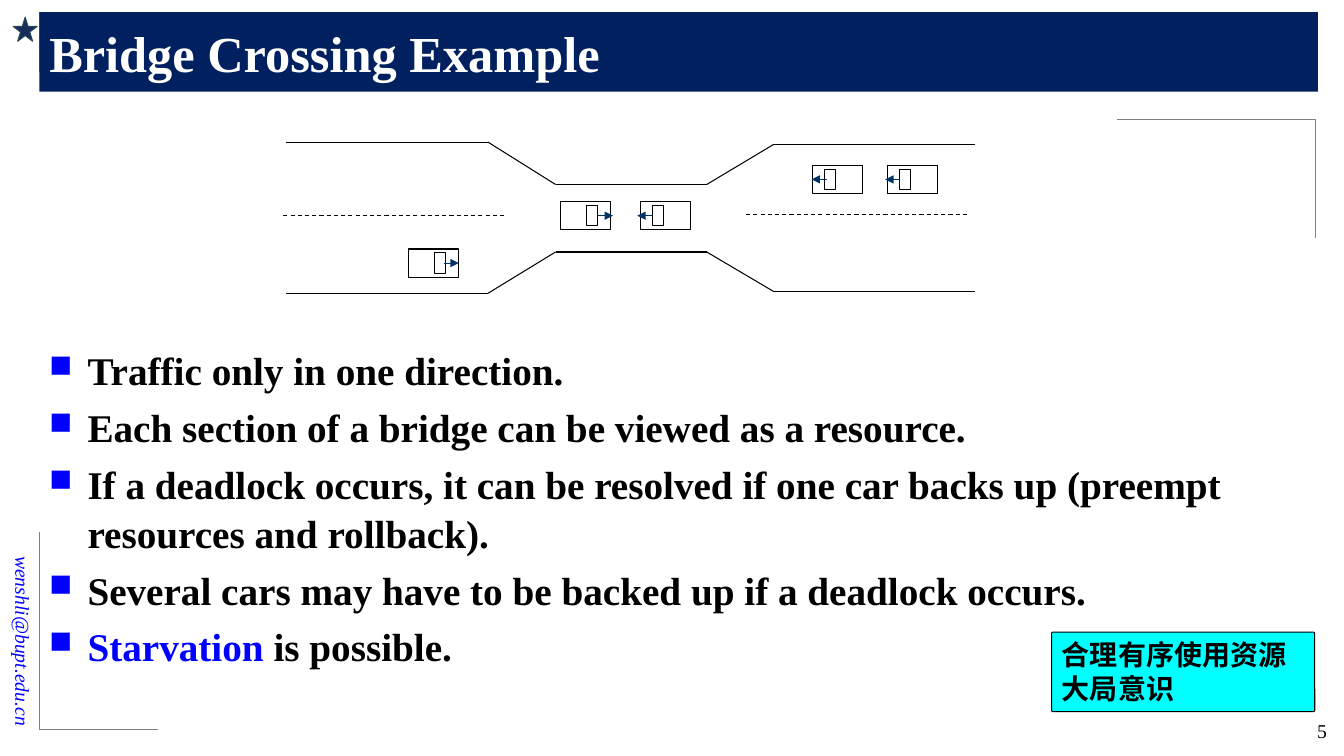
import pptx
import pptx.util
import pptx.dml.color
import pptx.enum.dml
import pptx.enum.shapes
import pptx.enum.text
import pptx.oxml.ns
import lxml.etree

WIDE, HIGH = pptx.util.Inches(13.33), pptx.util.Inches(7.5)
COLS, ROWS = 133.3, 75
SERIF, SANS = "Times New Roman", "Noto Sans CJK SC"
HUES = {
    "black": "000000", "white": "FFFFFF", "blue": "0000FF", "navy": "002060",
    "gray": "808080", "star": "172E5C", "edge": "2A4854", "arrow": "003366",
    "cyan": "00FFFF",
}
KINDS = pptx.enum.shapes.MSO_SHAPE
ALIGN = pptx.enum.text.PP_ALIGN
MIDDLE = pptx.enum.text.MSO_ANCHOR.MIDDLE


def hue(name):
    return pptx.dml.color.RGBColor.from_string(HUES[name])


def col(n):
    return round(WIDE * n / COLS)


def row(n):
    return round(HIGH * n / ROWS)


def spot(x, y, w, h):
    return col(x), row(y), col(w), row(h)


def child(node, tag, **attrs):
    return lxml.etree.SubElement(node, pptx.oxml.ns.qn(tag), attrs)


def box(shapes, kind, area, fill, edge=None):
    shape = shapes.add_shape(kind, *spot(*area))
    shape.shadow.inherit = False
    shape.fill.solid()
    shape.fill.fore_color.rgb = hue(fill)
    if edge:
        shape.line.color.rgb = hue(edge)
        shape.line.width = pptx.util.Pt(0.75)
    else:
        shape.line.fill.background()
    return shape


def line(shapes, start, end, tint="black", width=0.75, dash=False, tip=False):
    link = shapes.add_connector(
        pptx.enum.shapes.MSO_CONNECTOR.STRAIGHT,
        col(start[0]), row(start[1]), col(end[0]), row(end[1]))
    link.line.color.rgb = hue(tint)
    link.line.width = pptx.util.Pt(width)
    if dash:
        link.line.dash_style = pptx.enum.dml.MSO_LINE.DASH
    if tip:
        child(link.line._get_or_add_ln(), "a:tailEnd", type="triangle")
    child(link._element.spPr, "a:effectLst")


def route(shapes, points, tint="black", width=0.75):
    for start, end in zip(points, points[1:]):
        line(shapes, start, end, tint, width)


def bullet(para):
    props = para._p.get_or_add_pPr()
    inset = pptx.util.Inches(0.38)
    props.set("marL", str(inset))
    props.set("indent", str(-inset))
    child(child(props, "a:buClr"), "a:srgbClr", val=HUES["blue"])
    child(props, "a:buSzPct", val="80000")
    child(props, "a:buChar", char="■")


def style(para, size, tint, face=SERIF, bold=False, slant=False):
    font = para.font
    font.size = pptx.util.Pt(size)
    font.name = face
    font.bold = bold
    font.italic = slant
    if tint:
        font.color.rgb = hue(tint)
    child(font._element, "a:ea", typeface=face)


def write(shape, lines, size, tint, align=ALIGN.LEFT, anchor=None, **look):
    frame = shape.text_frame
    frame.word_wrap = True
    frame.vertical_anchor = anchor or pptx.enum.text.MSO_ANCHOR.TOP
    for i, text in enumerate(lines):
        para = frame.add_paragraph() if i else frame.paragraphs[0]
        para.text = text
        para.alignment = align
        style(para, size, tint, **look)


def points(shapes, area, items):
    frame = shapes.add_textbox(*spot(*area)).text_frame
    frame.word_wrap = True
    for i, parts in enumerate(items):
        para = frame.add_paragraph() if i else frame.paragraphs[0]
        para.line_spacing = 1.04
        para.space_before = pptx.util.Pt(5.6 if i else 0)
        bullet(para)
        mixed = len(parts) > 1
        for text, tint in parts:
            run = para.add_run()
            run.text = text
            if mixed:
                run.font.color.rgb = hue(tint)
        style(para, 28, None if mixed else parts[0][1], bold=True)


def car(shapes, x, y, way, nose):
    group = shapes.add_group_shape().shapes
    cab = x + (2.6 if way > 0 else 1.2)
    box(group, KINDS.RECTANGLE, (x, y, 5, 2.8), "white", "black")
    box(group, KINDS.RECTANGLE, (cab, y + 0.4, 1.1, 2), "white", "black")
    line(group, (nose - 1.5 * way, y + 1.4), (nose, y + 1.4), "arrow", tip=True)


def bridge(shapes):
    road = shapes.add_group_shape().shapes
    for outer, inner, right in ((14.1, 18.3, 14.35), (29.1, 25, 28.9)):
        route(road, [(28.4, outer), (48.4, outer), (55.1, inner),
                     (70.1, inner), (76.7, right), (96.7, right)])
    for x, y in ((28.1, 21.4), (74, 21.3)):
        line(road, (x, y), (x + 22.1, y), dash=True)
    for place in ((55.6, 20, 1, 60.8), (40.5, 24.7, 1, 45.5),
                  (63.5, 20, -1, 63.2), (80.6, 16.4, -1, 80.5),
                  (88, 16.4, -1, 87.8)):
        car(shapes, *place)


def frame(shapes):
    mail = shapes.add_textbox(*spot(-10.9, 58.1, 26.4, 3.4))
    mail.rotation = 90
    write(mail, ["wenshli@bupt.edu.cn"], 14, "blue", ALIGN.RIGHT, MIDDLE, slant=True)
    for corner in ([(3.9, 7.1), (3.9, 1.2), (23.6, 1.2)],
                   [(3.9, 52.8), (3.9, 72.4), (15.7, 72.4)],
                   [(130.5, 23.6), (130.5, 11.8), (110.8, 11.8)]):
        route(shapes, corner, "gray", 0.5)
    box(shapes, KINDS.STAR_5_POINT, (1.3, 1.7, 2.4, 2.4), "star", "edge")


def main():
    deck = pptx.Presentation()
    deck.slide_width, deck.slide_height = WIDE, HIGH
    shapes = deck.slides.add_slide(deck.slide_layouts[6]).shapes
    frame(shapes)
    title = box(shapes, KINDS.RECTANGLE, (3.9, 1.2, 126.8, 7.9), "navy")
    write(title, ["Bridge Crossing Example"], 36, "white", anchor=MIDDLE, bold=True)
    points(shapes, (3.9, 33.7, 126.4, 38.8), [
        [("Traffic only in one direction.", "black")],
        [("Each section of a bridge can be viewed as a resource.", "black")],
        [("If a deadlock occurs, it can be resolved if one car backs up "
          "(preempt resources and rollback).", "black")],
        [("Several cars may have to be backed up if a deadlock occurs.", "black")],
        [("Starvation", "blue"), (" is possible.", "black")],
    ])
    page = shapes.add_textbox(*spot(121.5, 70.8, 11.1, 3.6))
    write(page, ["5"], 14, "black", ALIGN.RIGHT)
    bridge(shapes)
    note = box(shapes, KINDS.ROUNDED_RECTANGLE, (104.3, 62.7, 26.1, 7.9), "cyan", "black")
    note.adjustments[0] = 0.02
    write(note, ["合理有序使用资源", "大局意识"], 20, "black", face=SANS, bold=True)
    deck.save("out.pptx")


if __name__ == "__main__":
    main()
